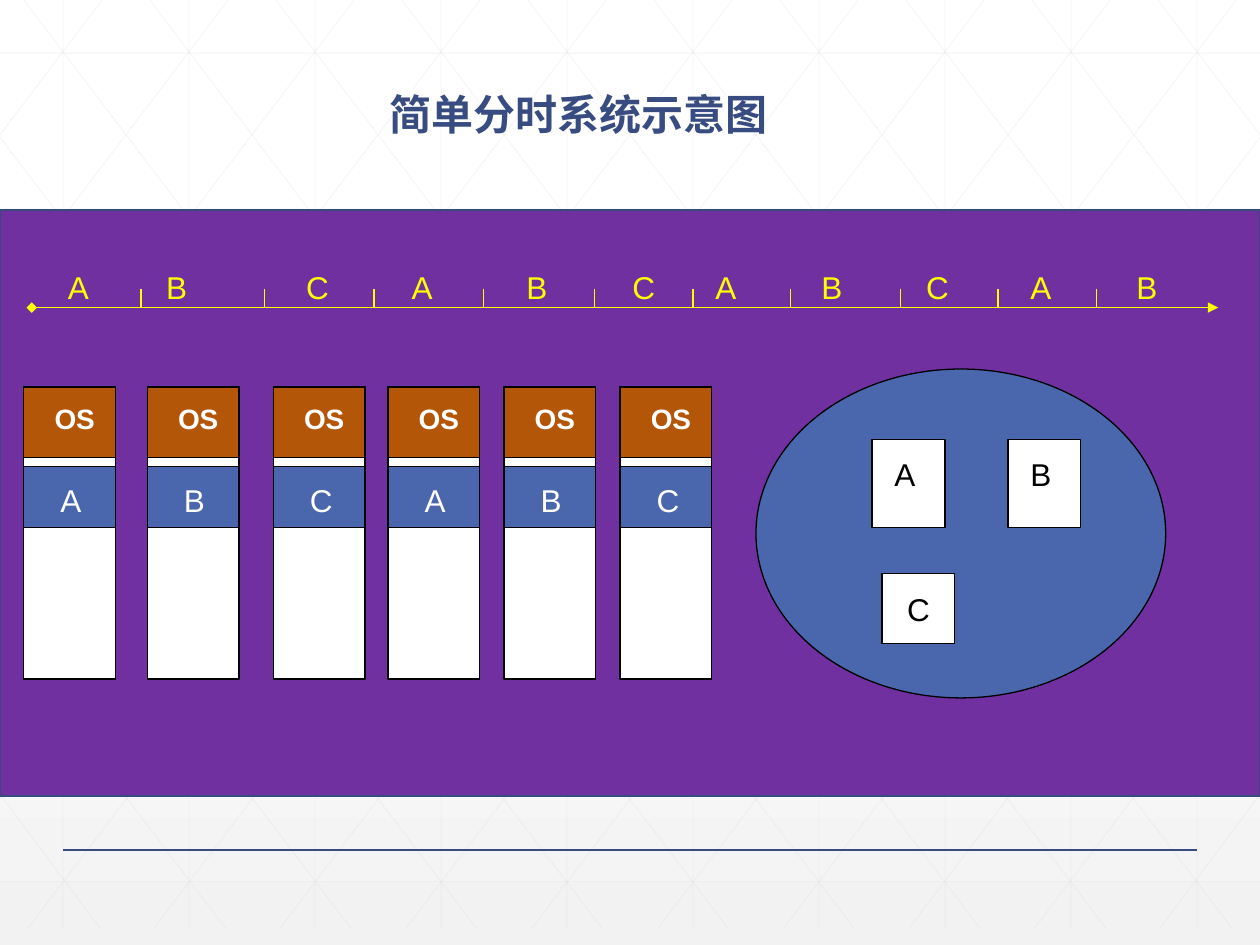
from lxml import etree
from pptx import Presentation
from pptx.dml.color import RGBColor
from pptx.enum.shapes import MSO_CONNECTOR, MSO_SHAPE
from pptx.enum.text import MSO_ANCHOR, MSO_AUTO_SIZE, PP_ALIGN
from pptx.oxml.ns import qn
from pptx.util import Cm, Pt

LINE = MSO_CONNECTOR.STRAIGHT
RECT, OVAL = MSO_SHAPE.RECTANGLE, MSO_SHAPE.OVAL
LEFT, CENTER = PP_ALIGN.LEFT, PP_ALIGN.CENTER
TOP, MIDDLE = MSO_ANCHOR.TOP, MSO_ANCHOR.MIDDLE
NO_FIT = MSO_AUTO_SIZE.NONE

NAVY, BLUE, PURPLE, ORANGE = "384C81", "4A66AC", "7030A0", "B45608"
YELLOW, WHITE, BLACK, GRID = "FFFF00", "FFFFFF", "000000", "D9D9D9"
WIDTH, GRID_HEIGHT = 25.4, 18.72


def paint(fill, color):
    fill.solid()
    fill.fore_color.rgb = RGBColor.from_string(color)


def write(frame, text, size=18, color=BLACK, bold=False, font="Arial",
          align=LEFT, anchor=TOP, wrap=True, spacing=1.0):
    frame.auto_size = NO_FIT
    frame.word_wrap = wrap
    frame.vertical_anchor = anchor
    para = frame.paragraphs[0]
    para.alignment = align
    para.line_spacing = spacing
    span = para.add_run()
    span.text = text
    span.font.size = Pt(size)
    span.font.bold = bold
    paint(span.font.fill, color)
    span.font.name = font
    etree.SubElement(span._r.get_or_add_rPr(), qn("a:ea"), typeface=font)


deck = Presentation()
deck.slide_width, deck.slide_height = Cm(WIDTH), Cm(19.05)
page = deck.slides.add_slide(deck.slide_layouts[5])

# Background gradient, white to light grey downwards
backdrop = page.background.fill
backdrop.gradient()
backdrop.gradient_angle = 270
for stop, position, color in zip(backdrop.gradient_stops, (0.53, 1), (WHITE, "F2F2F2")):
    stop.position = position
    stop.color.rgb = RGBColor.from_string(color)

# Background grid: uprights, levels, and diagonals with their mirror images
grid = [(1.27 + 2.54 * i, 0, 1.27 + 2.54 * i, GRID_HEIGHT) for i in range(10)]
grid += [(0, 1.07 + 3.34 * i, WIDTH, 1.07 + 3.34 * i) for i in range(6)]
run = 14.2
diagonals = []
for i in range(10):
    start = 0.48 + 2.54 * i
    end = min(start + run, WIDTH)
    diagonals.append((start, 0, end, (end - start) * GRID_HEIGHT / run))
diagonals += [(12.14 - 2.53 * i, GRID_HEIGHT, 0, 2.77 + 3.31 * i) for i in range(5)]
grid += diagonals
grid += [(WIDTH - x1, y1, WIDTH - x2, y2) for x1, y1, x2, y2 in diagonals]

# Every part: kind, place (ends for a line), fill, line colour, line width, text
parts = [(LINE, ends, None, GRID, 0.5, "") for ends in grid]
parts += [
    (LINE, (1.27, 17.14, 24.13, 17.14), None, NAVY, 1, ""),
    (RECT, (0, 4.24, WIDTH, 11.81), PURPLE, "374B7F", 1, ""),
    (OVAL, (15.24, 7.44, 8.26, 6.63), BLUE, BLACK, 0.75, ""),
    (RECT, (17.58, 8.86, 1.47, 1.78), WHITE, BLACK, 0.75, ""),
    (RECT, (20.32, 8.86, 1.47, 1.78), WHITE, BLACK, 0.75, ""),
    (RECT, (17.78, 11.56, 1.47, 1.42), WHITE, BLACK, 0.75, "C"),
]

# Labels: text, place, size, colour, bold
labels = [("A", (17.78, 9.04, 1.07, 1.02), 18, BLACK, False),
          ("B", (20.52, 9.04, 1.07, 1.02), 18, BLACK, False)]

# Memory columns, each with the system on top and the running job below it
for left, job in zip((0.48, 2.97, 5.51, 7.82, 10.16, 12.5), "ABCABC"):
    for top, height, fill in ((7.8, 5.89, WHITE), (7.8, 1.42, ORANGE), (9.4, 1.24, BLUE)):
        parts.append((RECT, (left, top, 1.85, height), fill, BLACK, 0.75, ""))
    labels.append(("OS", (left + 0.37, 7.98, 1.47, 0.94), 16, WHITE, True))
    labels.append((job, (left + 0.49, 9.58, 1.1, 1.02), 18, WHITE, False))

# Time slices, with the axis as the last part
for tick in (2.84, 5.33, 7.54, 9.75, 11.99, 13.97, 15.93, 18.16, 20.12, 22.1):
    parts.append((LINE, (tick, 5.82, tick, 6.2), None, YELLOW, 0.75, ""))
parts.append((LINE, (0.64, 6.2, 24.56, 6.2), None, YELLOW, 1, ""))
slices = (1.12, 3.1, 5.92, 8.05, 10.36, 12.5, 14.17, 16.31, 18.42, 20.52, 22.66)
for left, job in zip(slices, "ABCABCABCAB"):
    labels.append((job, (left, 5.28, 1.2, 1.02), 18, YELLOW, False))

# Draw the parts from back to front (only lines go without a fill)
for kind, place, fill, color, width, text in parts:
    place = [Cm(value) for value in place]
    if fill is None:
        shape = page.shapes.add_connector(kind, *place)
        etree.SubElement(shape.element.spPr, qn("a:effectLst"))
    else:
        shape = page.shapes.add_shape(kind, *place)
        shape.shadow.inherit = False
        paint(shape.fill, fill)
    paint(shape.line.fill, color)
    shape.line.width = Pt(width)
    if color == GRID:
        tint = shape.element.spPr.find(".//" + qn("a:srgbClr"))
        etree.SubElement(tint, qn("a:alpha"), val="25000")
    if text:
        write(shape.text_frame, text, align=CENTER, anchor=MIDDLE, wrap=False)

# Ends of the time axis
axis_line = shape.element.spPr.find(qn("a:ln"))
etree.SubElement(axis_line, qn("a:headEnd"), type="diamond")
etree.SubElement(axis_line, qn("a:tailEnd"), type="triangle")

for text, place, size, color, bold in labels:
    box = page.shapes.add_textbox(*[Cm(value) for value in place])
    write(box.text_frame, text, size=size, color=color, bold=bold)

# Title, brought in front of the grid
title = page.shapes.title
title.left, title.top, title.width, title.height = Cm(0.84), Cm(1.78), Cm(21.64), Cm(3.18)
write(title.text_frame, "简单分时系统示意图", size=24, color=NAVY, bold=True,
      font="Noto Sans CJK SC", align=CENTER, spacing=0.9)
title.element.getparent().append(title.element)

deck.save("out.pptx")
